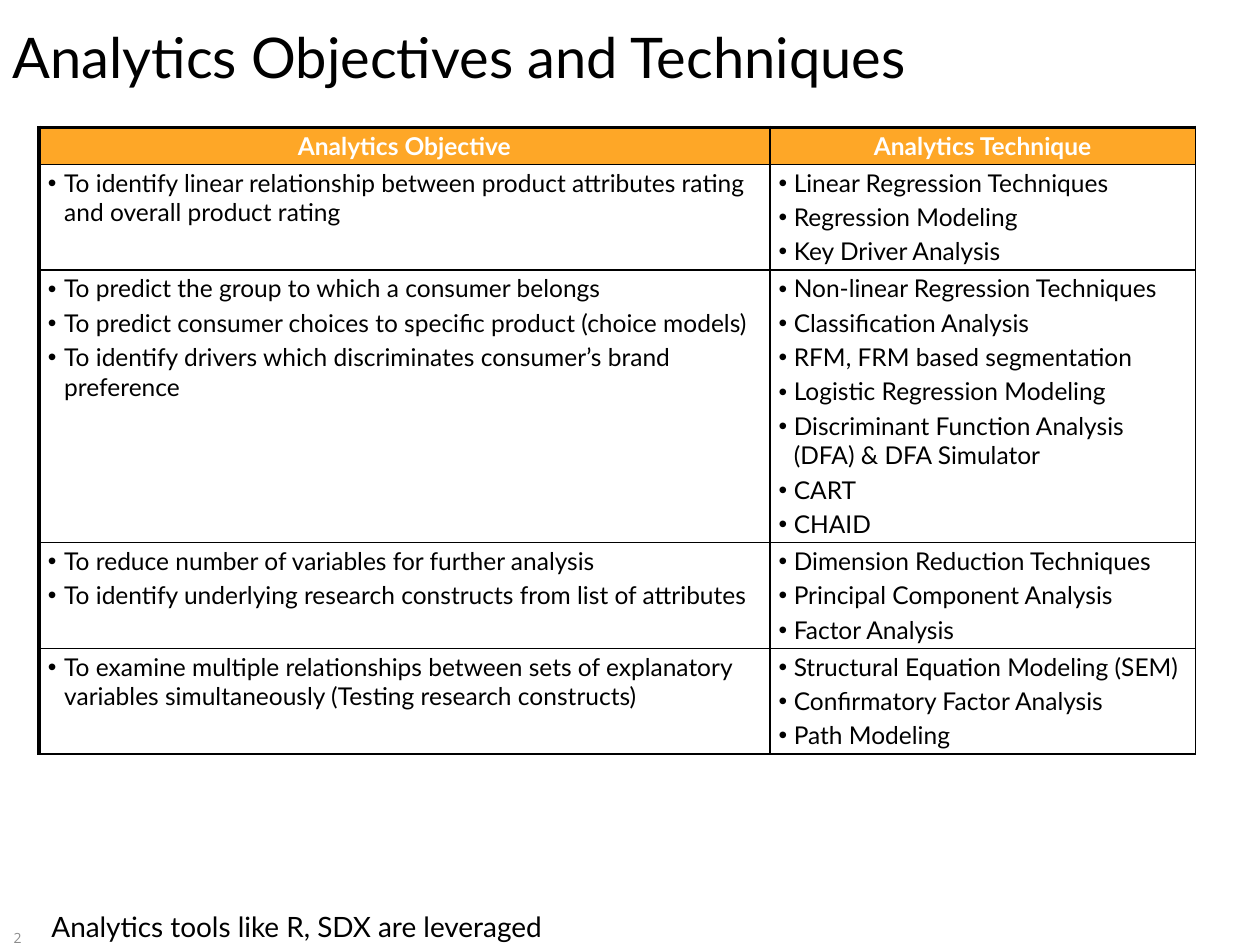
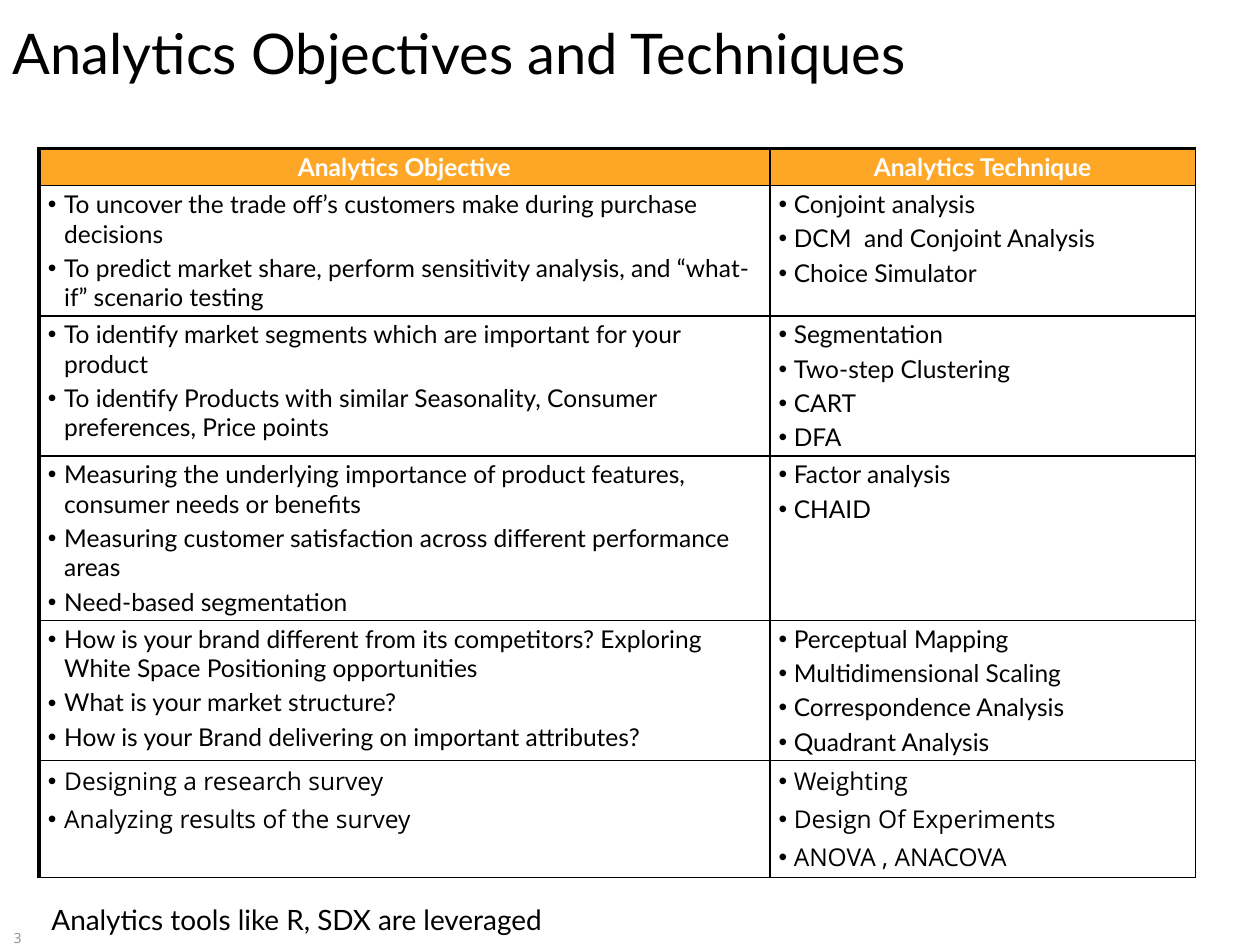
from lxml.etree import SubElement as Sub
from pptx import Presentation
from pptx.dml.color import RGBColor as Color
from pptx.enum.text import MSO_ANCHOR as Anchor, PP_ALIGN as Align
from pptx.oxml.ns import qn
from pptx.util import Inches, Pt

HUES = {"ink": "000000", "head": "FEA727", "white": "FFFFFF", "gray": "8C8C8C"}
MAIN, ALT = "Lato", "Open Sans"
TITLE = "Analytics Objectives and Techniques"
NOTE = "Analytics tools like R, SDX are leveraged"
HEADS = ("Analytics Objective", "Analytics Technique")
COLS = (5.8, 3.38)
DENTS = (0.13, 0.12)

FIRST = [
    (0.84, MAIN,
     ["To identify linear relationship between product attributes rating and overall product rating"],
     ["Linear Regression Techniques", "Regression Modeling", "Key Driver Analysis"]),
    (2.16, MAIN,
     ["To predict the group to which a consumer belongs",
      "To predict consumer choices to specific product (choice models)",
      "To identify drivers which discriminates consumer’s brand preference"],
     ["Non-linear Regression Techniques", "Classification Analysis",
      "RFM, FRM based segmentation", "Logistic Regression Modeling",
      "Discriminant Function Analysis (DFA) & DFA Simulator", "CART", "CHAID"]),
    (0.84, MAIN,
     ["To reduce number of variables for further analysis",
      "To identify underlying research constructs from list of attributes"],
     ["Dimension Reduction Techniques", "Principal Component Analysis", "Factor Analysis"]),
    (0.84, MAIN,
     ["To examine multiple relationships between sets of explanatory variables "
      "simultaneously (Testing research constructs)"],
     ["Structural Equation Modeling (SEM)", "Confirmatory Factor Analysis", "Path Modeling"]),
]
SECOND = [
    (1.03, MAIN,
     ["To uncover the trade off’s customers make during purchase decisions",
      "To predict market share, perform sensitivity analysis, and “what-if” scenario testing"],
     ["Conjoint analysis", "DCM  and Conjoint Analysis", "Choice Simulator"]),
    (1.11, MAIN,
     ["To identify market segments which are important for your product",
      "To identify Products with similar Seasonality, Consumer preferences, Price points"],
     ["Segmentation", "Two-step Clustering", "CART", "DFA"]),
    (1.3, MAIN,
     ["Measuring the underlying importance of product features, consumer needs or benefits",
      "Measuring customer satisfaction across different performance areas",
      "Need-based segmentation"],
     ["Factor analysis", "CHAID"]),
    (1.11, MAIN,
     ["How is your brand different from its competitors? "
      "Exploring White Space Positioning opportunities",
      "What is your market structure?",
      "How is your Brand delivering on important attributes?"],
     ["Perceptual Mapping", "Multidimensional Scaling", "Correspondence Analysis",
      "Quadrant Analysis"]),
    (0.93, ALT,
     ["Designing a research survey", "Analyzing results of the survey"],
     ["Weighting", "Design Of Experiments", "ANOVA , ANACOVA"]),
]


def write(frame, lines, size=14, font=MAIN, hue="ink", bold=False, align=Align.LEFT, dent=0):
    """Fill a text frame with one paragraph per line, bulleted when dent is set."""
    frame.word_wrap = True
    for i, line in enumerate(lines):
        para = frame.paragraphs[0] if i == 0 else frame.add_paragraph()
        para.alignment = align
        para.space_before = Pt(size * 0.2 if i else 0)
        run = para.add_run()
        run.text = line
        run.font.size, run.font.name, run.font.bold = Pt(size), font, bold
        run.font.color.rgb = Color.from_string(HUES[hue])
        if dent:
            props = para._p.get_or_add_pPr()
            props.set("marL", str(Inches(dent)))
            props.set("indent", str(-Inches(dent)))
            Sub(props, qn("a:buFont"), typeface="Arial")
            Sub(props, qn("a:buChar"), char="•")


def label(slide, box, text, **style):
    """Add a text box centred on its height."""
    frame = slide.shapes.add_textbox(*map(Inches, box)).text_frame
    frame.vertical_anchor = Anchor.MIDDLE
    write(frame, [text], **style)


def edge(cell, top, left):
    """Draw the four borders of a cell."""
    props = cell._tc.get_or_add_tcPr()
    for side, width in (("L", left), ("R", 1), ("T", top), ("B", 1)):
        line = Sub(props, qn("a:ln" + side), w=str(Pt(width)))
        Sub(Sub(line, qn("a:solidFill")), qn("a:srgbClr"), val=HUES["ink"])


def paint(cell, hue):
    """Set the insets and the fill of a cell."""
    cell.margin_left = cell.margin_right = Inches(0.07)
    cell.margin_top = cell.margin_bottom = Inches(0.03)
    cell.vertical_anchor = Anchor.TOP
    cell.fill.solid()
    cell.fill.fore_color.rgb = Color.from_string(HUES[hue])


def grid(slide, top, rows):
    """Add the table of objectives and techniques."""
    highs = [0.29] + [row[0] for row in rows]
    box = (0.31, top, sum(COLS), sum(highs))
    table = slide.shapes.add_table(len(highs), len(COLS), *map(Inches, box)).table
    table.horz_banding = False
    for col, width in zip(table.columns, COLS):
        col.width = Inches(width)
    for r, high in enumerate(highs):
        table.rows[r].height = Inches(high)
        for c, dent in enumerate(DENTS):
            cell = table.cell(r, c)
            edge(cell, 1 if r else 2.25, 1 if c else 2.25)
            paint(cell, "white" if r else "head")
            if r:
                font, *lists = rows[r - 1][1:]
                write(cell.text_frame, lists[c], font=font, dent=dent)
            else:
                write(cell.text_frame, [HEADS[c]], hue="white", bold=True, align=Align.CENTER)


def page(deck, num, rows, head, top, foot):
    """Build one slide with title, table, note and number."""
    slide = deck.slides.add_slide(deck.slide_layouts[5])
    label(slide, (-0.44, 7.24, 0.71, 0.4), str(num), size=8, font=ALT, hue="gray",
          align=Align.RIGHT)
    title = slide.shapes.title
    title.left, title.top, title.width, title.height = map(Inches, (0, head, 10, 0.89))
    title.text_frame.vertical_anchor = Anchor.MIDDLE
    write(title.text_frame, [TITLE], size=32)
    grid(slide, top, rows)
    label(slide, (0.31, foot, 7.52, 0.31), NOTE, size=16)


def main():
    """Build and save the deck."""
    deck = Presentation()
    deck.slide_width, deck.slide_height = Inches(10), Inches(7.5)
    page(deck, 2, FIRST, 0, 1.01, 7.2)
    page(deck, 3, SECOND, -0.03, 1.18, 7.14)
    deck.save("out.pptx")


main()
